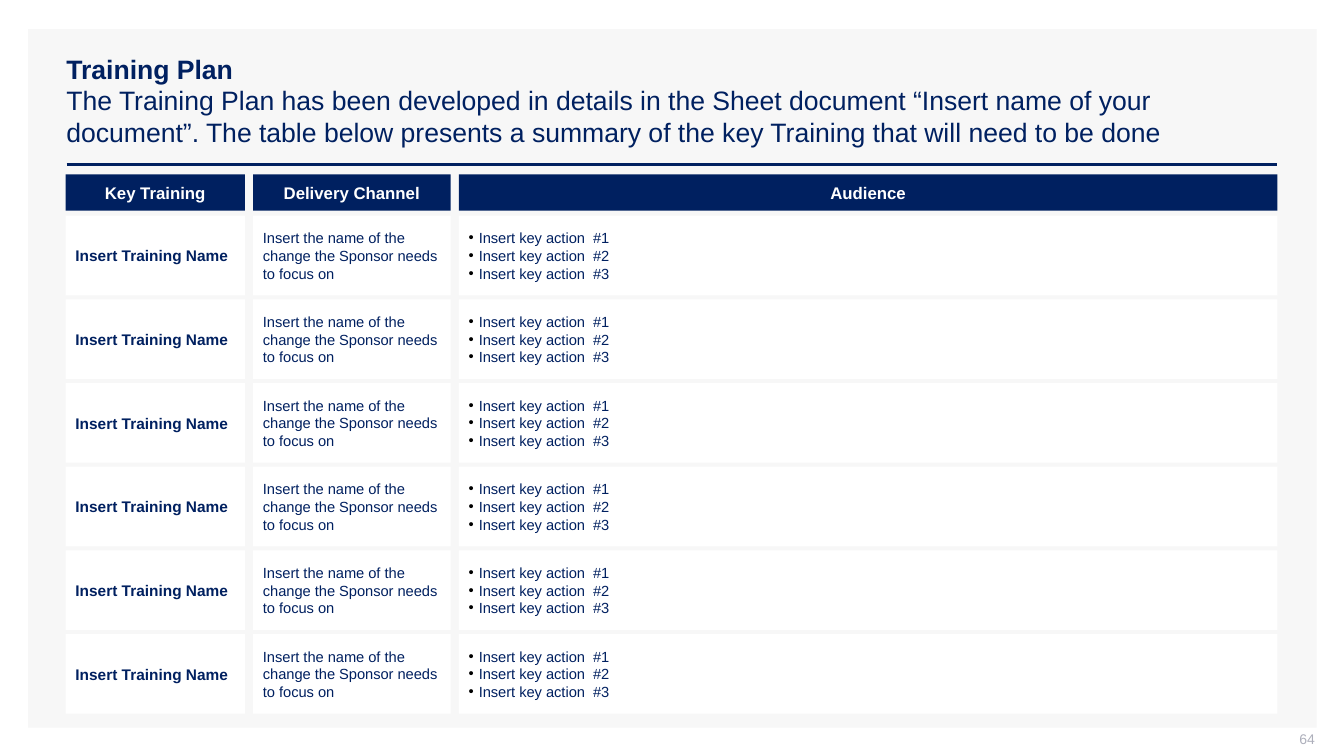
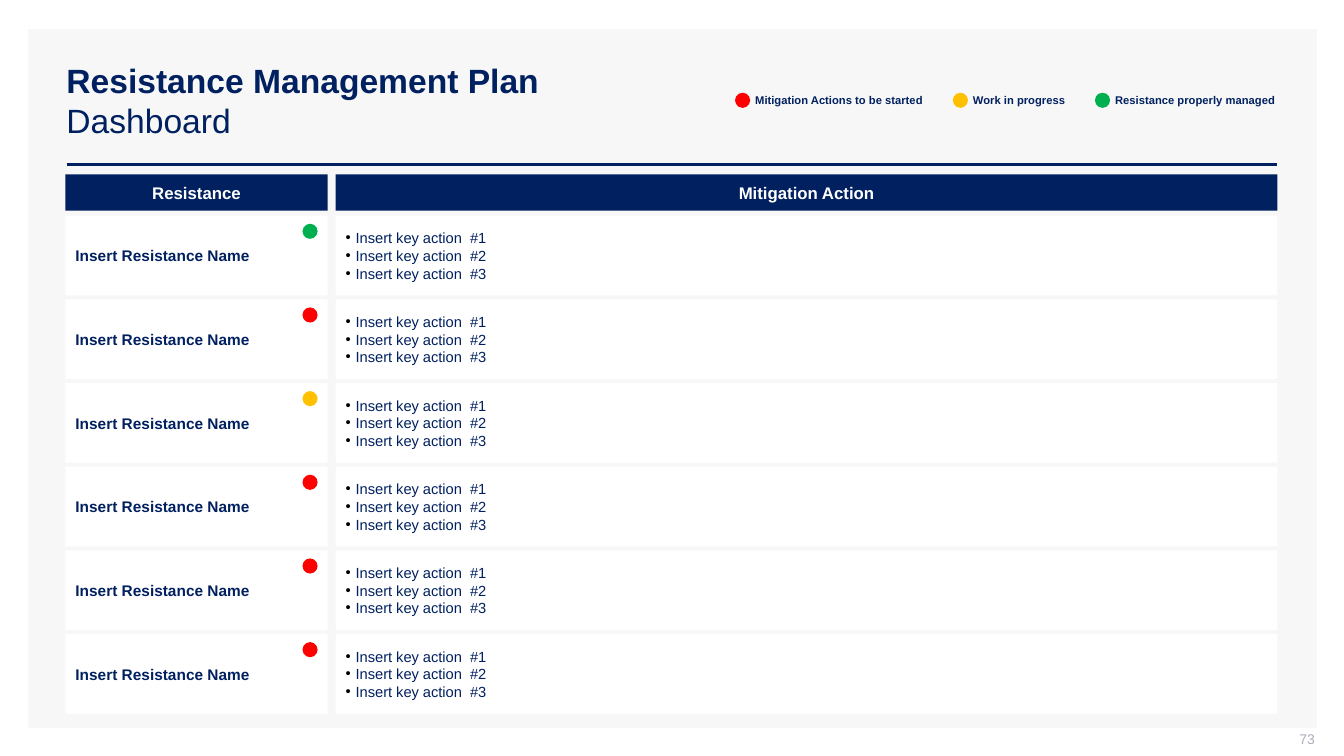
import pptx
import pptx.util
import pptx.dml.color
import pptx.enum.shapes
import pptx.enum.text
import pptx.oxml
import pptx.oxml.ns
from lxml import etree

Inches = pptx.util.Inches
Pt = pptx.util.Pt
RGB = pptx.dml.color.RGBColor.from_string
SHAPE = pptx.enum.shapes.MSO_SHAPE
ALIGN = pptx.enum.text.PP_ALIGN
qn = pptx.oxml.ns.qn

# Content
ROWS = 6
ACTIONS = ["Insert key action  #1", "Insert key action  #2", "Insert key action  #3"]
FOCUS = ["Insert the name of the change the Sponsor needs to focus on"]
LEGEND = [("red", "Mitigation Actions to be started", 7.29),
          ("amber", "Work in progress", 9.45),
          ("green", "Resistance properly managed", 10.86)]

# Columns are (heading, width or None for the rest, cell style, cell text)
SLIDES = [
    dict(title="Training Plan",
         subtitle="The Training Plan has been developed in details in the Sheet document "
                  "“Insert name of your document”. The table below presents a summary of "
                  "the key Training that will need to be done",
         style="title_small", number="64",
         columns=[("Key Training", 1.78, "name", ["Insert Training Name"]),
                  ("Delivery Channel", 1.96, "body", FOCUS),
                  ("Audience", None, "bullets", ACTIONS)]),
    dict(title="Resistance Management Plan", subtitle="Dashboard",
         style="title_large", number="73",
         columns=[("Resistance", 2.6, "name", ["Insert Resistance Name"]),
                  ("Mitigation Action", None, "bullets", ACTIONS)],
         statuses=["green", "red", "amber", "red", "red", "red"]),
]

# Theme: colours and type styles
THEME = dict(
    colours=dict(navy="002060", white="FFFFFF", panel="F7F7F7", grey="ADAFBB",
                 black="000000", red="FF0000", amber="FFC000", green="00B050"),
    font="Arial",
    styles=dict(
        title_small=dict(size=19, colour="navy", bold=True),
        title_large=dict(size=24, colour="navy", bold=True),
        heading=dict(size=12, colour="white", bold=True),
        name=dict(size=11, colour="navy", bold=True),
        body=dict(size=10.5, colour="navy", bold=False),
        bullets=dict(size=10.5, colour="navy", bold=False),
        legend=dict(size=8, colour="navy", bold=True),
        number=dict(size=10, colour="grey", bold=False)),
)

# Layout in inches
LEFT, RIGHT = 0.65, 12.67
HEAD_TOP, HEAD_H = 1.73, 0.36
ROW_TOP, ROW_H, ROW_GAP = 2.14, 0.79, 0.04
COL_GAP = 0.08
DOT, DOT_LEFT, DOT_DROP = 0.15, 3, 0.08
LEGEND_TOP, LEGEND_INDENT, LEGEND_W = 0.92, 0.2, 1.8
CELL_INSETS = (0.1, 0.05, 0.1, 0.05)
HEAD_INSETS = (0.02,) * 4


def colour(name):
    return RGB(THEME["colours"][name])


def add_run(p, text, style, **changes):
    fmt = {**THEME["styles"][style], **changes}
    r = p.add_run()
    r.text = text
    values = dict(name=THEME["font"], size=Pt(fmt["size"]), bold=fmt["bold"])
    for key, value in values.items():
        setattr(r.font, key, value)
    r.font.color.rgb = colour(fmt["colour"])


def add_bullet(p):
    pPr = p._p.get_or_add_pPr()
    pPr.set("marL", str(Inches(0.1)))
    pPr.set("indent", str(-Inches(0.1)))
    tint = etree.SubElement(pPr, qn("a:buClr"))
    etree.SubElement(tint, qn("a:srgbClr")).set("val", THEME["colours"]["black"])
    etree.SubElement(pPr, qn("a:buFont")).set("typeface", THEME["font"])
    etree.SubElement(pPr, qn("a:buChar")).set("char", "•")


def set_frame(sp, insets):
    tf = sp.text_frame
    values = dict(word_wrap=True, vertical_anchor=pptx.enum.text.MSO_ANCHOR.MIDDLE)
    sides = ("margin_left", "margin_top", "margin_right", "margin_bottom")
    values.update(zip(sides, map(Inches, insets)))
    for key, value in values.items():
        setattr(tf, key, value)
    return tf


def write(sp, lines, style, insets, align=ALIGN.LEFT):
    tf = set_frame(sp, insets)
    for i, line in enumerate(lines):
        p = tf.paragraphs[0] if i == 0 else tf.add_paragraph()
        p.alignment = align
        if style == "bullets":
            add_bullet(p)
        add_run(p, line, style)


def add_box(s, at, fill, kind=SHAPE.RECTANGLE):
    sp = s.shapes.add_shape(kind, *map(Inches, at))
    sp.shadow.inherit = False
    sp.fill.solid()
    sp.fill.fore_color.rgb = colour(fill)
    sp.line.fill.background()
    return sp


def add_dot(s, left, top, fill):
    add_box(s, (left, top, DOT, DOT), fill, SHAPE.OVAL)


def add_text(s, at):
    return s.shapes.add_textbox(*map(Inches, at))


def add_base(s, data):
    # Panel, rule, title and page number
    add_box(s, (0.28, 0.29, 12.78, 6.93), "panel")
    rule = s.shapes.add_connector(pptx.enum.shapes.MSO_CONNECTOR.STRAIGHT,
                                  *map(Inches, (0.66, 1.63, RIGHT, 1.63)))
    rule.line.color.rgb = colour("navy")
    rule.line.width = Pt(2)
    etree.SubElement(rule._element.spPr, qn("a:effectLst"))

    tf = set_frame(add_text(s, (0.56, 0.4, 12.11, 1.19)), CELL_INSETS)
    p = tf.paragraphs[0]
    add_run(p, data["title"], data["style"])
    p.add_line_break()
    add_run(p, data["subtitle"], data["style"], bold=False)

    write(add_text(s, (10.04, 7.25, 3, 0.21)), [data["number"]], "number",
          (0.1, 0, 0, 0.05), ALIGN.RIGHT)


def row_top(i):
    return ROW_TOP + i * (ROW_H + ROW_GAP)


def add_grid(s, columns):
    left = LEFT
    for heading, width, style, lines in columns:
        width = width or RIGHT - left
        write(add_box(s, (left, HEAD_TOP, width, HEAD_H), "navy"), [heading],
              "heading", HEAD_INSETS, ALIGN.CENTER)
        for i in range(ROWS):
            write(add_box(s, (left, row_top(i), width, ROW_H), "white"), lines,
                  style, CELL_INSETS)
        left += width + COL_GAP


def add_statuses(s, statuses):
    # Legend, then one dot for each row
    for fill, label, left in LEGEND:
        add_dot(s, left, LEGEND_TOP, fill)
        write(add_text(s, (left + LEGEND_INDENT, LEGEND_TOP, LEGEND_W, DOT)),
              [label], "legend", (0,) * 4)
    for i, fill in enumerate(statuses):
        add_dot(s, DOT_LEFT, row_top(i) + DOT_DROP, fill)


def main():
    prs = pptx.Presentation()
    prs.slide_width, prs.slide_height = Inches(13.33), Inches(7.5)
    for data in SLIDES:
        s = prs.slides.add_slide(prs.slide_layouts[6])
        add_base(s, data)
        add_grid(s, data["columns"])
        if "statuses" in data:
            add_statuses(s, data["statuses"])
    prs.save("out.pptx")


if __name__ == "__main__":
    main()
